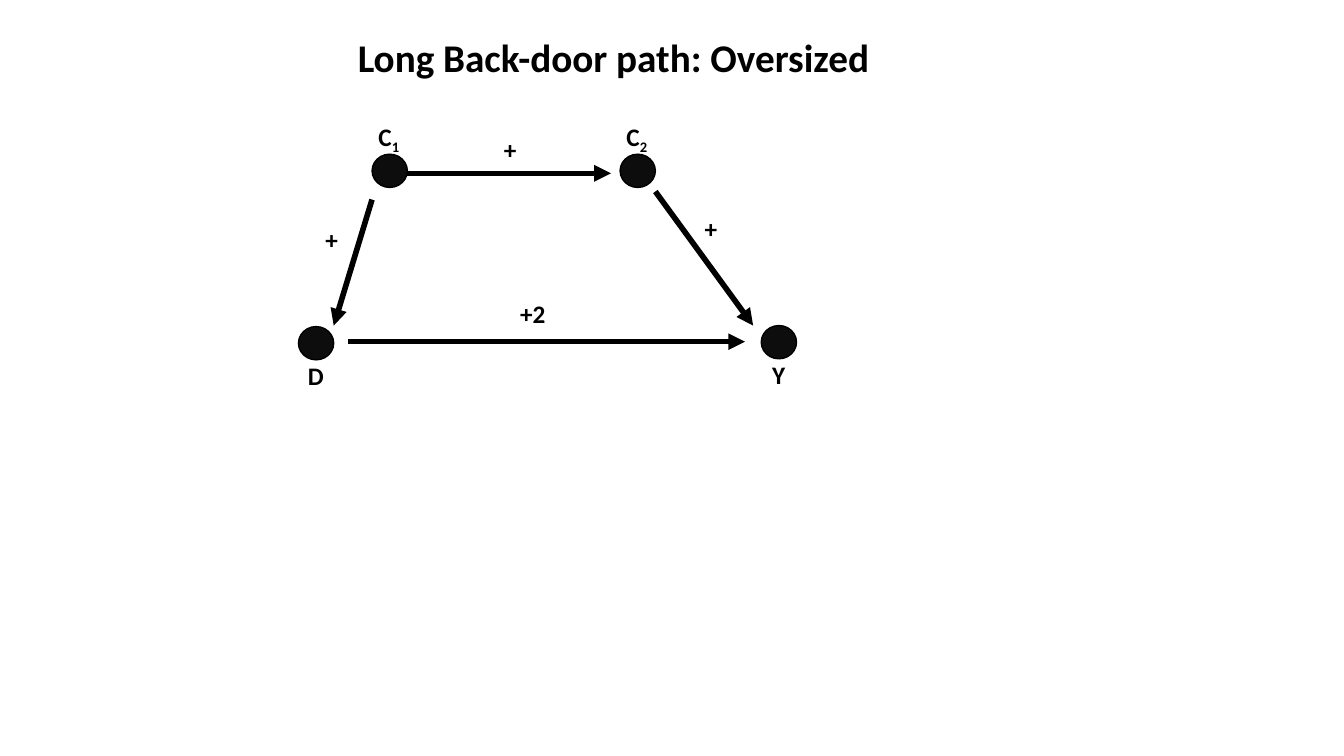
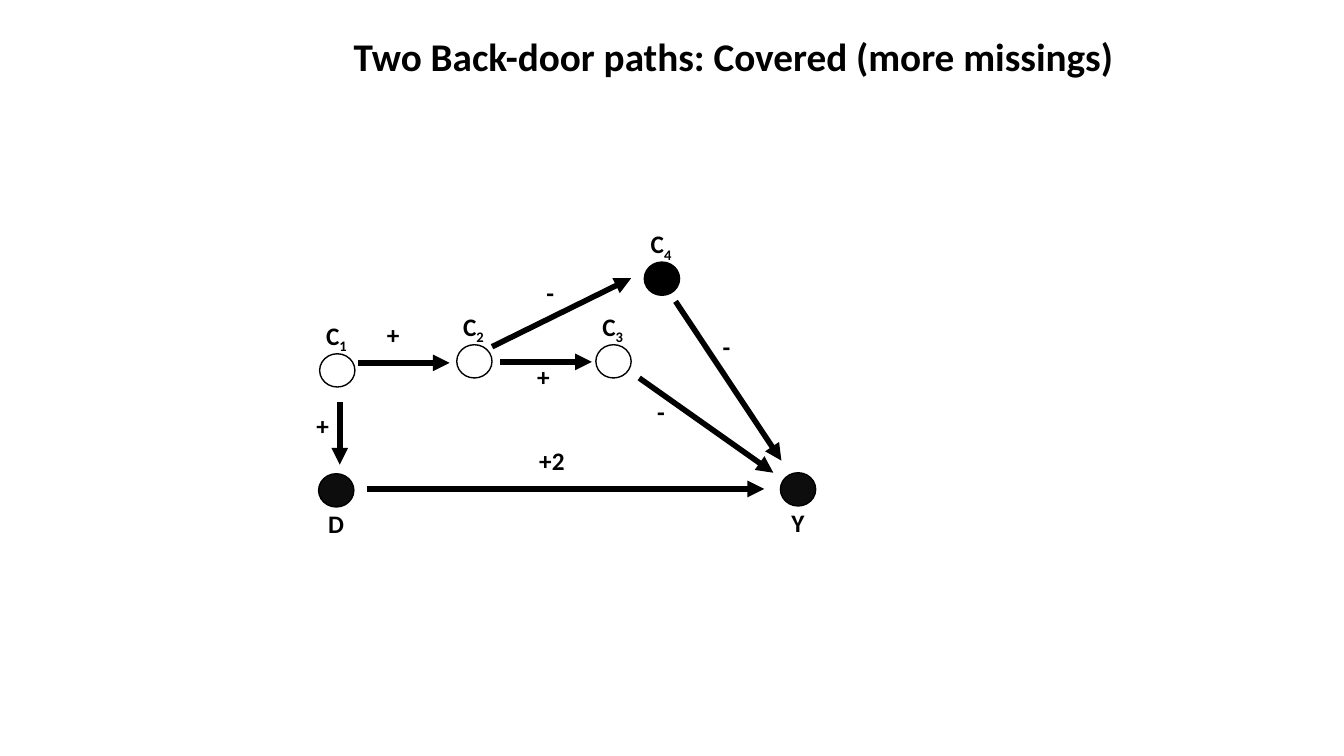
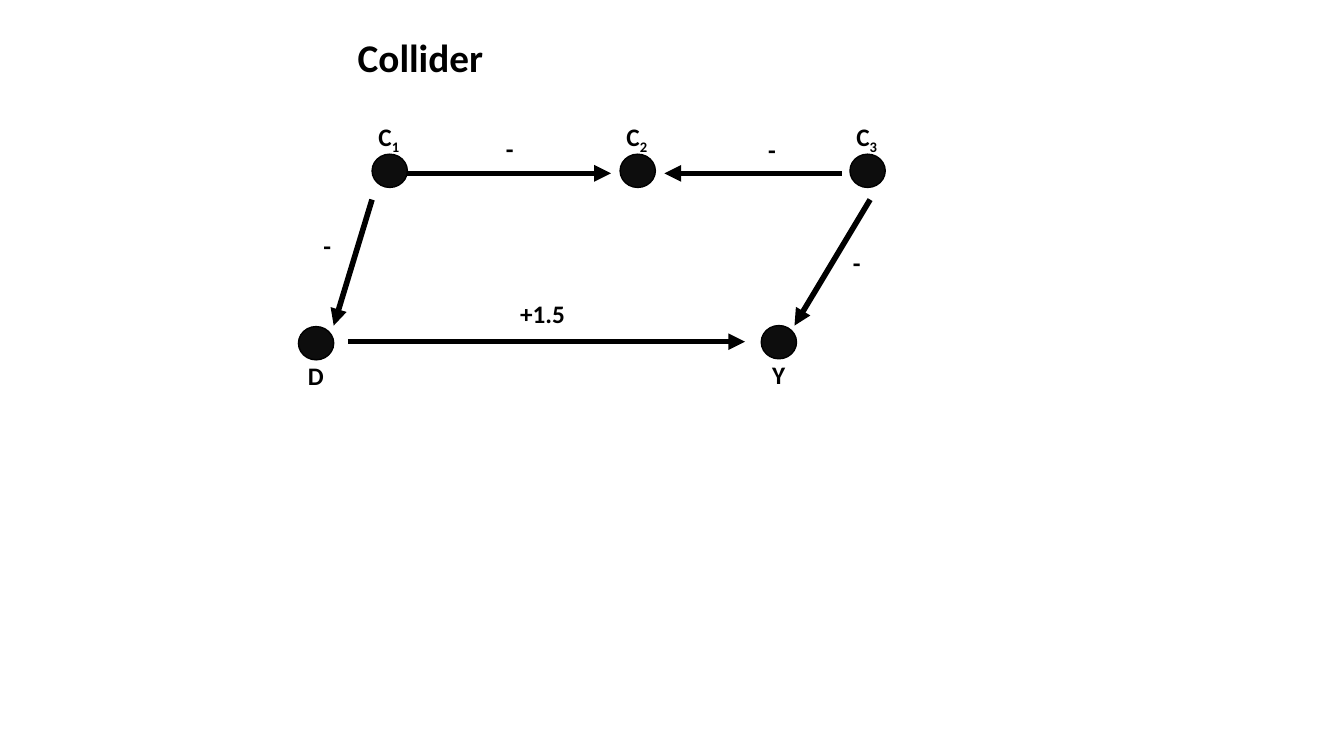
import dataclasses

import pptx
import pptx.dml.color
import pptx.enum.dml
import pptx.enum.shapes
import pptx.enum.text
import pptx.oxml
import pptx.oxml.ns
import pptx.util

Inches = pptx.util.Inches
Pt = pptx.util.Pt
RGB = pptx.dml.color.RGBColor.from_string


@dataclasses.dataclass(frozen=True)
class Theme:
    font: str = "Calibri"
    ink: str = "000000"
    observed: str = "0D0D0D"
    unobserved: str = "FFFFFF"
    title_size: int = 28
    label_size: int = 18
    node_line: float = 1
    arrow_line: float = 4
    node_width: float = 0.35
    node_height: float = 0.33
    label_height: float = 0.4
    title_height: float = 0.57


theme = Theme()
FULL, EMPTY, BLACK = theme.observed, theme.unobserved, theme.ink
LABEL_WIDTHS = {"D": 0.36, "Y": 0.33, "C": 0.42, "+": 0.36, "-": 0.36, "+2": 0.46, "+1.5": 0.65}

# Node: name, left, top, fill. Arrow: start, end, effect, left and top of the effect.
square_nodes = [("D", 2.96, 3.24, FULL), ("Y", 7.55, 3.23, FULL),
                ("C1", 3.69, 1.53, FULL), ("C2", 6.15, 1.53, FULL)]
d_to_y = ((3.45, 3.39), (7.39, 3.39))
c1_to_d = ((3.69, 1.98), (3.31, 3.23))
c1_to_c2 = ((4.04, 1.72), (6.06, 1.72))

diagrams = [
    ("Long Back-door path: Oversized", (3.45, 0.28, 5.35), square_nodes, [
        (*d_to_y, "+2", 5.06, 2.91),
        (*c1_to_d, "+", 3.13, 2.18),
        (*c1_to_c2, "+", 4.9, 1.28),
        ((6.5, 1.9), (7.47, 3.23), "+", 6.89, 2.07),
    ]),
    ("Two Back-door paths: Covered (more missings)", (3.41, 0.27, 7.83), [
        ("D", 3.16, 4.7, FULL), ("Y", 7.74, 4.69, FULL),
        ("C1", 3.17, 3.51, EMPTY), ("C2", 4.53, 3.42, EMPTY),
        ("C3", 5.91, 3.42, EMPTY), ("C4", 6.39, 2.6, BLACK),
    ], [
        ((3.64, 4.85), (7.58, 4.85), "+2", 5.25, 4.37),
        ((3.37, 3.99), (3.37, 4.61), "+", 3.04, 4.02),
        ((3.55, 3.6), (4.46, 3.6), "+", 3.74, 3.12),
        ((4.96, 3.59), (5.87, 3.59), "+", 5.23, 3.54),
        ((6.34, 3.75), (7.67, 4.69), "-", 6.42, 3.88),
        ((4.88, 3.44), (6.26, 2.76), "-", 5.32, 2.7),
        ((6.7, 2.99), (7.75, 4.57), "-", 7.07, 3.24),
    ]),
    ("Collider", (3.45, 0.28, 1.46), square_nodes + [("C3", 8.43, 1.53, FULL)], [
        (*d_to_y, "+1.5", 5.06, 2.91),
        (*c1_to_d, "-", 3.11, 2.24),
        (*c1_to_c2, "-", 4.92, 1.27),
        ((8.35, 1.72), (6.59, 1.72), "-", 7.52, 1.28),
        ((8.63, 1.98), (7.88, 3.23), "-", 8.36, 2.4),
    ]),
]


def add_text(slide, text, left, top, width, height, size, subscript=""):
    box = slide.shapes.add_textbox(Inches(left), Inches(top), Inches(width), Inches(height))
    frame = box.text_frame
    frame.word_wrap = False
    frame.auto_size = pptx.enum.text.MSO_AUTO_SIZE.SHAPE_TO_FIT_TEXT
    paragraph = frame.paragraphs[0]
    paragraph.font.name = theme.font
    paragraph.font.size = Pt(size)
    paragraph.font.bold = True
    paragraph.font.color.rgb = RGB(theme.ink)
    paragraph.add_run().text = text
    if subscript:
        index = paragraph.add_run()
        index.text = subscript
        index.font._element.set("baseline", "-25000")


def add_arrow(slide, start, end):
    arrow = slide.shapes.add_connector(
        pptx.enum.shapes.MSO_CONNECTOR.STRAIGHT, *map(Inches, start + end))
    arrow.line.color.rgb = RGB(theme.ink)
    arrow.line.width = Pt(theme.arrow_line)
    head = pptx.oxml.parse_xml(
        f'<a:tailEnd {pptx.oxml.ns.nsdecls("a")} type="triangle"/>')
    arrow.line._get_or_add_ln().append(head)
    arrow._element.spPr.append(
        pptx.oxml.parse_xml(f'<a:effectLst {pptx.oxml.ns.nsdecls("a")}/>'))


deck = pptx.Presentation()
deck.slide_width, deck.slide_height = Inches(13.33), Inches(7.5)

for title, (title_left, title_top, title_width), nodes, arrows in diagrams:
    slide = deck.slides.add_slide(deck.slide_layouts[6])
    add_text(slide, title, title_left, title_top, title_width, theme.title_height, theme.title_size)

    for name, left, top, fill in nodes:
        node = slide.shapes.add_shape(
            pptx.enum.shapes.MSO_SHAPE.OVAL, Inches(left), Inches(top),
            Inches(theme.node_width), Inches(theme.node_height))
        node.shadow.inherit = False
        node.fill.solid()
        node.fill.fore_color.rgb = RGB(fill)
        node.line.color.rgb = RGB(theme.ink)
        node.line.width = Pt(theme.node_line)

        # Controls are named above their node, treatment and outcome below.
        letter, subscript = name[0], name[1:]
        label_width = LABEL_WIDTHS[letter]
        label_left = left + (theme.node_width - label_width) / 2
        label_top = top + (-0.38 if subscript else 0.29)
        add_text(slide, letter, label_left, label_top, label_width,
                 theme.label_height, theme.label_size, subscript)

    for start, end, effect, left, top in arrows:
        add_arrow(slide, start, end)
        add_text(slide, effect, left, top, LABEL_WIDTHS[effect],
                 theme.label_height, theme.label_size)
        if effect in "+-":
            slide.shapes[-1].text_frame.word_wrap = True

deck.save("out.pptx")
